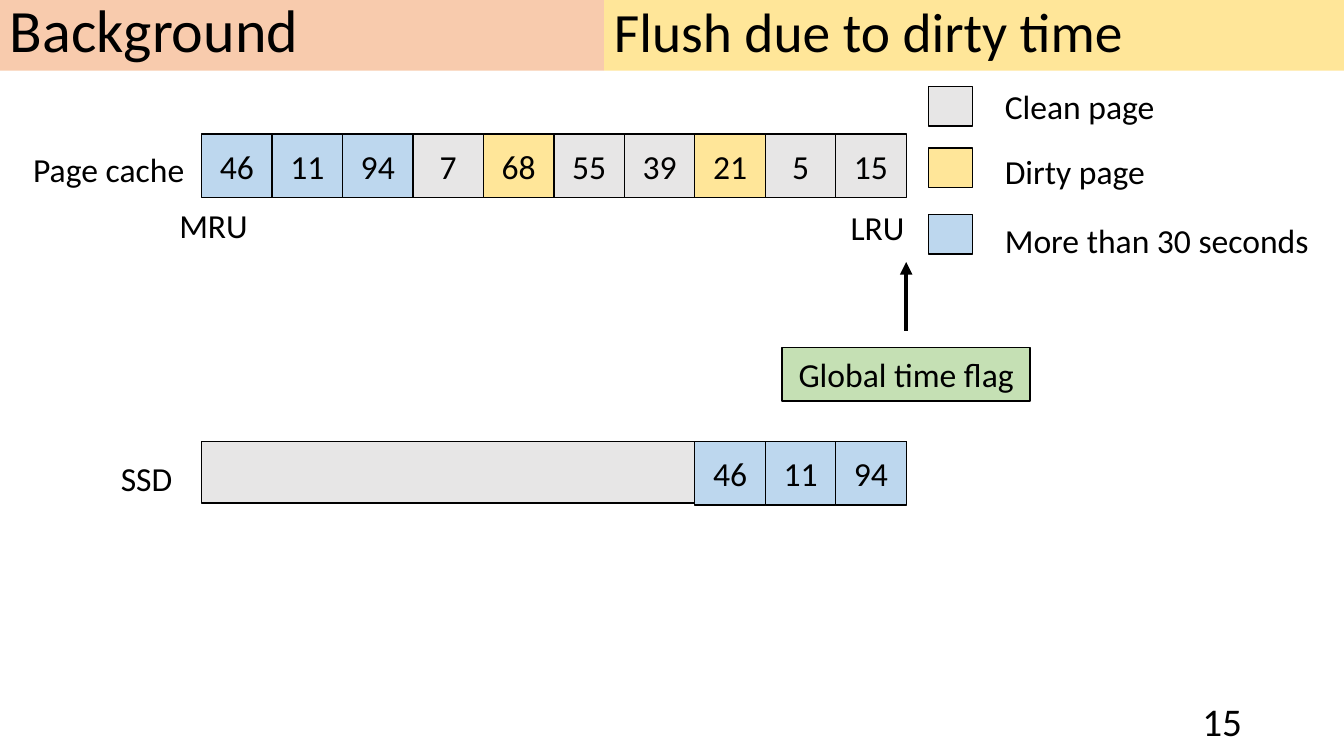
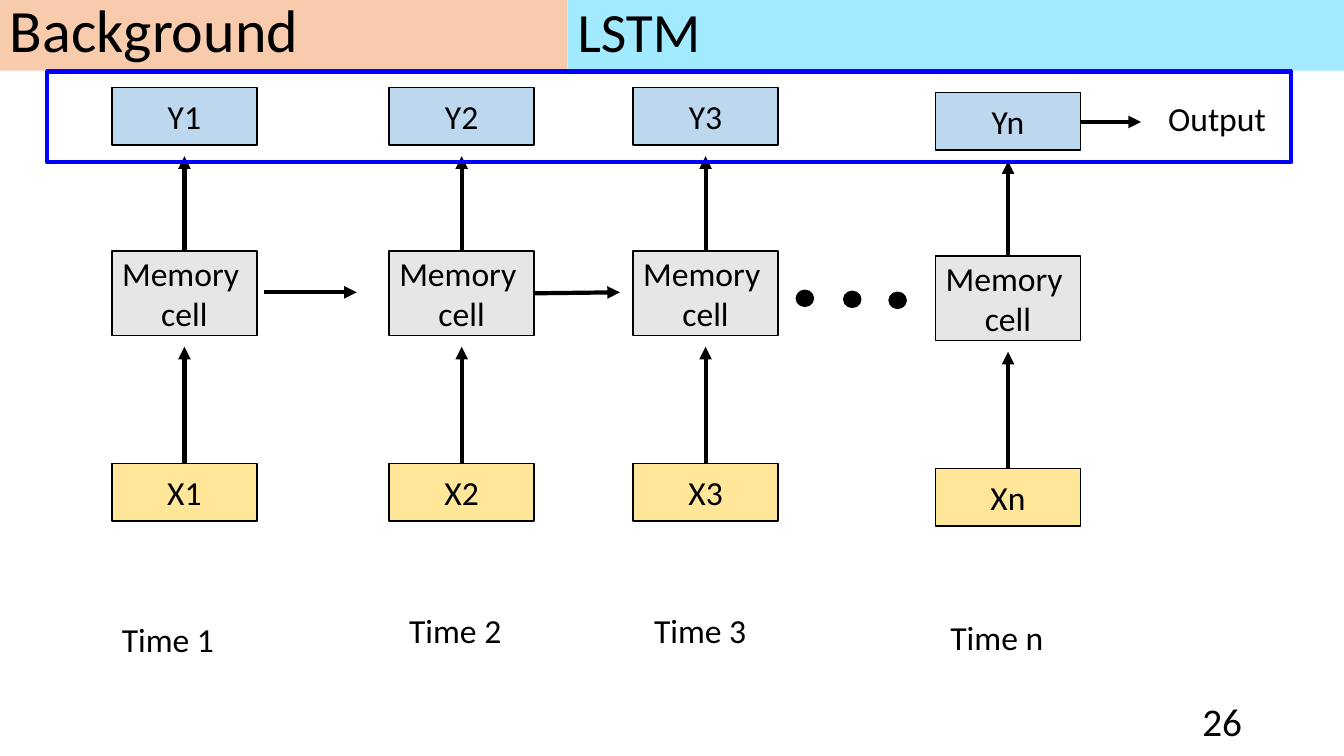
from dataclasses import dataclass
from typing import Any, Optional

from lxml import etree
from pptx import Presentation
from pptx import util as u
from pptx.dml import color
from pptx.enum import shapes, text
from pptx.oxml import ns


@dataclass(frozen=True)
class Theme:
    font: str = "Calibri"
    ink: str = "000000"
    clean: str = "E7E6E6"
    dirty: str = "FFE699"
    aged: str = "BDD7EE"
    flag: str = "C5E0B4"
    section: str = "F8CBAD"
    lstm: str = "A1EAFF"
    frame: str = "0000FF"
    body: float = 24
    number: float = 28
    title: float = 39.6
    band: float = 42.9
    thin: float = 1
    thick: float = 3


@dataclass(frozen=True)
class Area:
    """A place on the grid, in columns and rows."""
    column: float
    row: float
    columns: float
    rows: float


@dataclass(frozen=True)
class Label:
    words: str
    area: Area


@dataclass(frozen=True)
class Legend:
    label: Label
    fill: str
    row: float


@dataclass(frozen=True)
class Step:
    mark: str
    column: float
    drop: float
    time: Area


THEME = Theme()
UNIT = 0.1  # one grid column or row, in inches
SLIDE_COLUMNS, SLIDE_ROWS = 133.33, 75
LEFT, CENTER, RIGHT = text.PP_ALIGN.LEFT, text.PP_ALIGN.CENTER, text.PP_ALIGN.RIGHT
TOP, MIDDLE = text.MSO_ANCHOR.TOP, text.MSO_ANCHOR.MIDDLE
RECTANGLE, OVAL = shapes.MSO_SHAPE.RECTANGLE, shapes.MSO_SHAPE.OVAL


# Shared drawing functions
def grid(count: float) -> int:
    return u.Inches(count * UNIT)


def rgb(code: str) -> color.RGBColor:
    return color.RGBColor.from_string(code)


def assign(target: Any, values: dict[str, Any]) -> None:
    for name, value in values.items():
        setattr(target, name, value)


def place(box: Any, area: Area) -> None:
    assign(box, {"left": grid(area.column), "top": grid(area.row),
                 "width": grid(area.columns), "height": grid(area.rows)})


def write(box: Any, words: str, size: float = THEME.body, align: Any = CENTER,
          anchor: Any = MIDDLE, spacing: float = 1.0) -> None:
    frame = box.text_frame
    assign(frame, {"text": words, "word_wrap": True, "vertical_anchor": anchor,
                   "auto_size": text.MSO_AUTO_SIZE.NONE})
    for para in frame.paragraphs:
        assign(para, {"alignment": align, "line_spacing": spacing})
        for span in para.runs:
            assign(span.font, {"name": THEME.font, "size": u.Pt(size)})
            span.font.color.rgb = rgb(THEME.ink)


def paint(box: Any, fill: Optional[str], outline: Optional[str], weight: float) -> None:
    if fill:
        box.fill.solid()
        box.fill.fore_color.rgb = rgb(fill)
    else:
        box.fill.background()
    if outline:
        box.line.color.rgb = rgb(outline)
        box.line.width = u.Pt(weight)
    else:
        box.line.fill.background()


def add_box(page: Any, area: Area, fill: Optional[str], words: str = "",
            outline: Optional[str] = THEME.ink, weight: float = THEME.thin,
            kind: Any = RECTANGLE) -> Any:
    box = page.shapes.add_shape(kind, 0, 0, 0, 0)
    place(box, area)
    box.shadow.inherit = False
    paint(box, fill, outline, weight)
    if words:
        write(box, words)
    return box


def add_label(page: Any, label: Label, size: float = THEME.body,
              align: Any = LEFT, anchor: Any = TOP) -> None:
    box = page.shapes.add_textbox(0, 0, 0, 0)
    place(box, label.area)
    write(box, label.words, size, align, anchor)


def add_arrow(page: Any, column: float, row: float, to_column: float, to_row: float) -> None:
    arrow = page.shapes.add_connector(shapes.MSO_CONNECTOR.STRAIGHT, grid(column),
                                      grid(row), grid(to_column), grid(to_row))
    arrow.line.color.rgb = rgb(THEME.ink)
    arrow.line.width = u.Pt(THEME.thick)
    etree.SubElement(arrow.line._get_or_add_ln(), ns.qn("a:tailEnd"), type="triangle")
    etree.SubElement(arrow._element.spPr, ns.qn("a:effectLst"))


def add_page(deck: Any, title: str, fill: str, split: float, number: str) -> Any:
    """Add a slide with its two heading bands, which meet at column split."""
    page = deck.slides.add_slide(deck.slide_layouts.get_by_name("Title Only"))
    heading = page.shapes.title
    place(heading, Area(split, -0.1, SLIDE_COLUMNS - split, 7.1))
    paint(heading, fill, None, 0)
    write(heading, title, THEME.title, LEFT, MIDDLE, 0.9)
    band = add_box(page, Area(0, -0.1, split, 7.1), THEME.section, outline=None)
    write(band, "Background", THEME.band, LEFT, MIDDLE, 0.8)
    add_label(page, Label(number, Area(94.2, 69.5, 30, 4)), THEME.number, RIGHT, MIDDLE)
    return page


# Slide: flushing pages by dirty time
CACHE_COLUMN, CELL_PITCH, CELL_WIDTH, CELL_HEIGHT = 20, 6.99, 7, 6.3
CACHE_ROW, SSD_ROW = 13.3, 43.8
AGED_PAGES = [("46", THEME.aged), ("11", THEME.aged), ("94", THEME.aged)]
CACHE_PAGES = AGED_PAGES + [
    ("7", THEME.clean), ("68", THEME.dirty), ("55", THEME.clean), ("39", THEME.clean),
    ("21", THEME.dirty), ("5", THEME.clean), ("15", THEME.clean)]
LEGENDS = [
    Legend(Label("Clean page", Area(98.7, 8, 18.3, 5)), THEME.clean, 8.6),
    Legend(Label("Dirty page", Area(98.7, 14.5, 18.3, 5)), THEME.dirty, 14.7),
    Legend(Label("More than 30 seconds", Area(98.7, 21.3, 32.6, 5)), THEME.aged, 21.3)]
CACHE_LABELS = [
    Label("Page cache", Area(2.3, 14.3, 17.6, 5)),
    Label("MRU", Area(16.8, 19.8, 10.2, 5)),
    Label("LRU", Area(83.4, 20, 7.9, 5)),
    Label("SSD", Area(11, 44.9, 8.9, 5))]


def add_cells(page: Any, cells: list[tuple[str, str]], first: int, row: float) -> None:
    for slot, (words, fill) in enumerate(cells, first):
        column = CACHE_COLUMN + slot * CELL_PITCH
        add_box(page, Area(column, row, CELL_WIDTH, CELL_HEIGHT), fill, words)


def build_flush(deck: Any) -> None:
    page = add_page(deck, "Flush due to dirty time", THEME.dirty, 59.9, "15")
    # Page cache and SSD
    add_box(page, Area(CACHE_COLUMN, SSD_ROW, 69.9, 6.1), THEME.clean)
    add_cells(page, CACHE_PAGES, 0, CACHE_ROW)
    add_cells(page, AGED_PAGES, len(CACHE_PAGES) - len(AGED_PAGES), SSD_ROW)
    for label in CACHE_LABELS:
        add_label(page, label)
    # Legend
    for legend in LEGENDS:
        add_box(page, Area(92.1, legend.row, 4.4, 3.9), legend.fill)
        add_label(page, legend.label)
    # Time flag
    add_box(page, Area(77.6, 34.5, 24.6, 5.3), THEME.flag, "Global time flag")
    add_arrow(page, 89.9, 32.8, 89.9, 26)


# Slide: LSTM unrolled in time
STEP_WIDTH, STEP_HEIGHT = 14.4, 5.7
OUTPUT_ROW, MEMORY_ROW, INPUT_ROW = 8.7, 24.9, 46
STEPS = [
    Step("1", 11.1, 0, Area(11.1, 60.9, 13.3, 5)),
    Step("2", 38.6, 0, Area(39.6, 60, 13.3, 5)),
    Step("3", 62.8, 0, Area(63.9, 60, 13.3, 5)),
    Step("n", 92.8, 0.5, Area(93.3, 60.7, 13.3, 5))]
DOTS = [(79, 28.8), (83.7, 28.9), (88.2, 29)]


def add_step(page: Any, step: Step) -> None:
    center = step.column + STEP_WIDTH / 2
    for row, height, fill, words in [
            (MEMORY_ROW, 8.4, THEME.clean, "Memory \ncell"),
            (INPUT_ROW, STEP_HEIGHT, THEME.dirty, "X" + step.mark),
            (OUTPUT_ROW, STEP_HEIGHT, THEME.aged, "Y" + step.mark)]:
        add_box(page, Area(step.column, row + step.drop, STEP_WIDTH, height), fill, words)
    for start, end in [(INPUT_ROW, 34.4), (MEMORY_ROW, 15.5)]:
        add_arrow(page, center, start + step.drop, center, end + step.drop)
    add_label(page, Label("Time " + step.mark, step.time))


def build_lstm(deck: Any) -> None:
    page = add_page(deck, "LSTM", THEME.lstm, 56.3, "26")
    # Time steps and the links between them
    for step in STEPS:
        add_step(page, step)
    add_arrow(page, 26.2, 29, 35.4, 29)
    add_arrow(page, 52.9, 29.1, 61.5, 29)
    for column, row in DOTS:
        add_box(page, Area(column, row, 1.7, 1.6), THEME.ink, kind=OVAL)
    # Output row
    add_arrow(page, 107.2, 12.1, 113.2, 12.1)
    add_label(page, Label("Output ", Area(114.9, 9.2, 13.2, 5)))
    add_box(page, Area(4.7, 7.1, 123.4, 9), None, outline=THEME.frame, weight=THEME.thick)


def main() -> None:
    deck = Presentation()
    assign(deck, {"slide_width": grid(SLIDE_COLUMNS), "slide_height": grid(SLIDE_ROWS)})
    build_flush(deck)
    build_lstm(deck)
    deck.save("out.pptx")


main()
